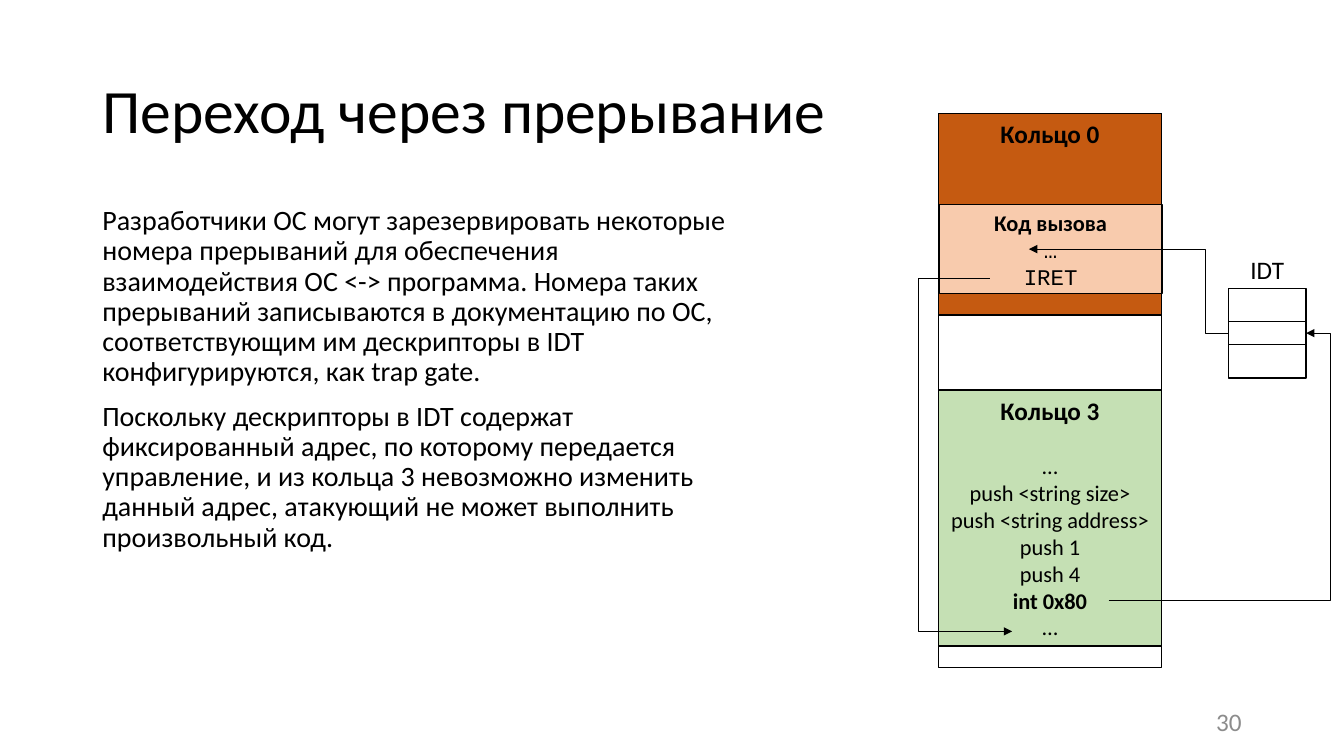
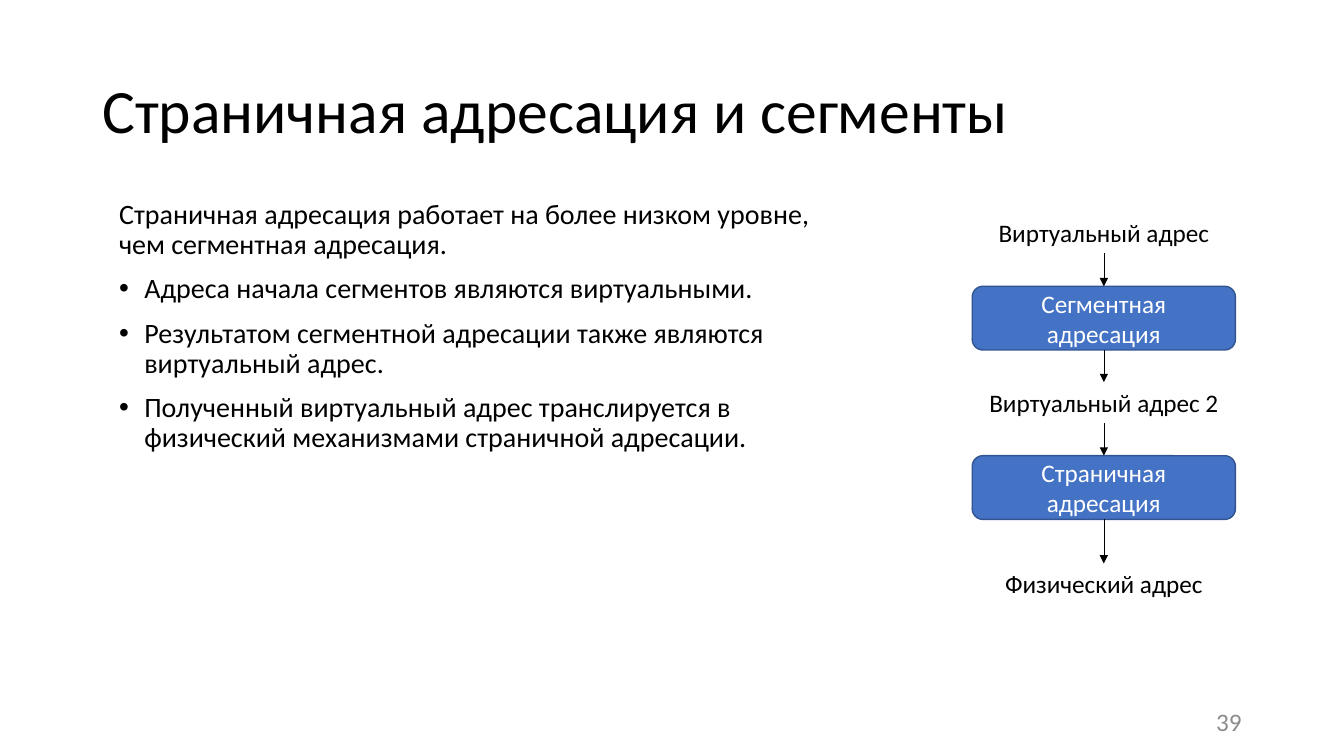
from lxml import etree
from pptx import Presentation
from pptx import util as u
from pptx.dml.color import RGBColor
from pptx.enum import shapes, text
from pptx.oxml import ns

Pt = u.Pt
BLACK = RGBColor(0x00, 0x00, 0x00)
WHITE = RGBColor(0xFF, 0xFF, 0xFF)
GRAY = RGBColor(0x8C, 0x8C, 0x8C)
ORANGE = RGBColor(0xC5, 0x5A, 0x11)
PEACH = RGBColor(0xF8, 0xCB, 0xAD)
GREEN = RGBColor(0xC5, 0xE0, 0xB4)
BLUE = RGBColor(0x44, 0x72, 0xC4)
DARK_BLUE = RGBColor(0x32, 0x54, 0x91)
LEFT, CENTER, RIGHT = text.PP_ALIGN.LEFT, text.PP_ALIGN.CENTER, text.PP_ALIGN.RIGHT
TOP, MIDDLE = text.MSO_ANCHOR.TOP, text.MSO_ANCHOR.MIDDLE
RECTANGLE = shapes.MSO_SHAPE.RECTANGLE
ROUNDED = shapes.MSO_SHAPE.ROUNDED_RECTANGLE
SANS, MONO = "Calibri", "Courier New"


def add_box(slide, box, lines=(), anchor=TOP, align=CENTER, color=BLACK,
            fill=None, line=BLACK, kind=RECTANGLE):
    """Add a filled shape, or a text box when fill is None.

    Each line is (text, size) and may go on with bold and font name.
    """
    bounds = [Pt(value) for value in box]
    if fill is None:
        shape = slide.shapes.add_textbox(*bounds)
    else:
        shape = slide.shapes.add_shape(kind, *bounds)
        shape.shadow.inherit = False
        shape.fill.solid()
        shape.fill.fore_color.rgb = fill
        shape.line.color.rgb = line
        shape.line.width = Pt(1)
    frame = shape.text_frame
    frame.word_wrap = True
    frame.vertical_anchor = anchor
    for index, (words, size, *style) in enumerate(lines):
        bold, font_name = (style + [False, SANS][len(style):])
        paragraph = frame.add_paragraph() if index else frame.paragraphs[0]
        paragraph.alignment = align
        run = paragraph.add_run()
        run.text = words
        run.font.size = Pt(size)
        run.font.bold = bold
        run.font.name = font_name
        run.font.color.rgb = color
    return shape


def add_arrow(slide, kind, start, end):
    connector = slide.shapes.add_connector(kind, *[Pt(value) for value in start + end])
    connector.line.color.rgb = BLACK
    connector.line.width = Pt(0.5)
    line = connector.line._get_or_add_ln()
    etree.SubElement(line, ns.qn("a:tailEnd"), type="triangle")
    etree.SubElement(connector._element.spPr, ns.qn("a:effectLst"))
    return connector


presentation = Presentation()
presentation.slide_width, presentation.slide_height = Pt(960), Pt(540)

# Title, number, body box and body paragraphs (text, bulleted) of each slide
contents = [
    ("Переход через прерывание", "30", (66, 144, 467, 343), [
        ("Разработчики ОС могут зарезервировать некоторые номера прерываний для "
         "обеспечения взаимодействия ОС <-> программа. Номера таких прерываний "
         "записываются в документацию по ОС, соответствующим им дескрипторы в IDT "
         "конфигурируются, как trap gate.", False),
        ("Поскольку дескрипторы в IDT содержат фиксированный адрес, по которому "
         "передается управление, и из кольца 3 невозможно изменить данный адрес, "
         "атакующий не может выполнить произвольный код.", False),
    ]),
    ("Страничная адресация и сегменты", "39", (78, 139.5, 520, 343), [
        ("Страничная адресация работает на более низком уровне, чем сегментная "
         "адресация.", False),
        ("Адреса начала сегментов являются виртуальными.", True),
        ("Результатом сегментной адресации также являются виртуальный адрес.", True),
        ("Полученный виртуальный адрес транслируется в физический механизмами "
         "страничной адресации.", True),
    ]),
]

slides = []
for title, number, body_box, body in contents:
    slide = presentation.slides.add_slide(presentation.slide_layouts[6])
    slides.append(slide)
    heading = add_box(slide, (66, 29, 828, 104), [(title, 44)], MIDDLE, LEFT)
    heading.text_frame.paragraphs[0].line_spacing = 0.9
    add_box(slide, (678, 500.5, 216, 29), [(number, 18)], MIDDLE, RIGHT, GRAY)
    body_shape = add_box(slide, body_box, [(words, 20) for words, _ in body], align=LEFT)
    for index, paragraph in enumerate(body_shape.text_frame.paragraphs):
        paragraph.line_spacing = 0.9
        paragraph.space_before = Pt(10 if index else 0)
        if body[index][1]:
            properties = paragraph._p.get_or_add_pPr()
            properties.set("marL", str(Pt(18)))
            properties.set("indent", str(Pt(-18)))
            etree.SubElement(properties, ns.qn("a:buFont"), typeface="Arial")
            etree.SubElement(properties, ns.qn("a:buChar"), char="•")

interrupt_slide, paging_slide = slides

# Memory column with the two rings
MEMORY_LEFT, MEMORY_WIDTH = 670.5, 159
add_box(interrupt_slide, (MEMORY_LEFT, 81, MEMORY_WIDTH, 396), fill=WHITE)
add_box(interrupt_slide, (MEMORY_LEFT, 81, MEMORY_WIDTH, 144),
        [("Кольцо 0", 18, True)], fill=ORANGE)
add_box(interrupt_slide, (MEMORY_LEFT + 0.5, 146, MEMORY_WIDTH, 63.5),
        [("Код вызова", 16, True), ("…", 16, False, MONO), ("IRET", 16, False, MONO)],
        fill=PEACH)
ring_3 = add_box(
    interrupt_slide, (MEMORY_LEFT, 278.5, MEMORY_WIDTH, 183),
    [("Кольцо 3", 18, True), ("...", 16), ("push <string size>", 16),
     ("push <string address>", 16), ("push 1", 16), ("push 4", 16),
     ("int 0x80", 16, True), ("…", 16)], fill=GREEN)
ring_3.text_frame.paragraphs[1].space_before = Pt(19.5)

# Interrupt descriptor table
IDT_LEFT, IDT_WIDTH = 877.5, 55.5
add_box(interrupt_slide, (IDT_LEFT, 206, IDT_WIDTH, 64), fill=WHITE)
add_box(interrupt_slide, (IDT_LEFT, 229.5, IDT_WIDTH, 16.5), fill=WHITE)
add_box(interrupt_slide, (IDT_LEFT, 178, IDT_WIDTH, 29), [("IDT", 18)])

# Control transfers: start, end and x of the vertical part
transfers = [
    ((792, 429), (IDT_LEFT + IDT_WIDTH, 238), 950.5),
    ((IDT_LEFT, 238), (735, 178), 861),
    ((707, 199), (723, 451), 656),
]
for start, end, bend in transfers:
    connector = add_arrow(interrupt_slide, shapes.MSO_CONNECTOR.ELBOW, start, end)
    ratio = (bend - start[0]) / (end[0] - start[0])
    guides = connector._element.spPr.find(ns.qn("a:prstGeom")).get_or_add_avLst()
    etree.SubElement(guides, ns.qn("a:gd"), name="adj1", fmla=f"val {round(ratio * 100000)}")

# Address translation: labels and steps from top to bottom
stages = [
    ("Виртуальный адрес", 152, False),
    ("Сегментная адресация", 204.5, True),
    ("Виртуальный адрес 2", 273, False),
    ("Страничная адресация", 325.5, True),
    ("Физический адрес", 402.5, False),
]
STAGE_LEFT, STAGE_WIDTH = 694.5, 188
stage_shapes = []
for words, top, is_step in stages:
    if is_step:
        stage = add_box(paging_slide, (STAGE_LEFT, top, STAGE_WIDTH, 45.5), [(words, 18)],
                        MIDDLE, color=WHITE, fill=BLUE, line=DARK_BLUE, kind=ROUNDED)
    else:
        stage = add_box(paging_slide, (STAGE_LEFT, top, STAGE_WIDTH, 29), [(words, 18)])
    stage_shapes.append(stage)
for upper, lower in zip(stage_shapes, stage_shapes[1:]):
    connector = add_arrow(paging_slide, shapes.MSO_CONNECTOR.STRAIGHT, (0, 0), (0, 0))
    connector.begin_connect(upper, 2)
    connector.end_connect(lower, 0)

presentation.save("out.pptx")
